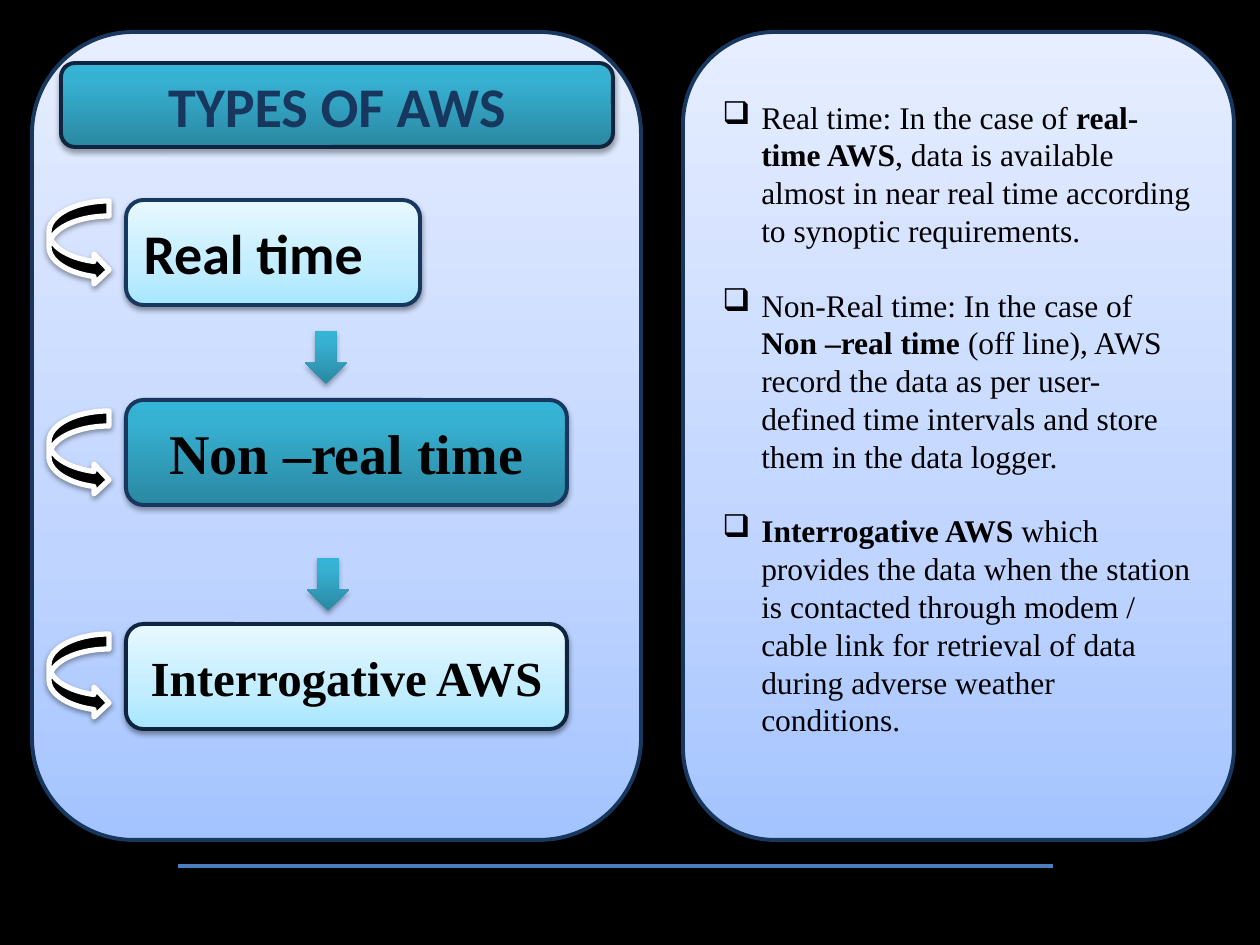
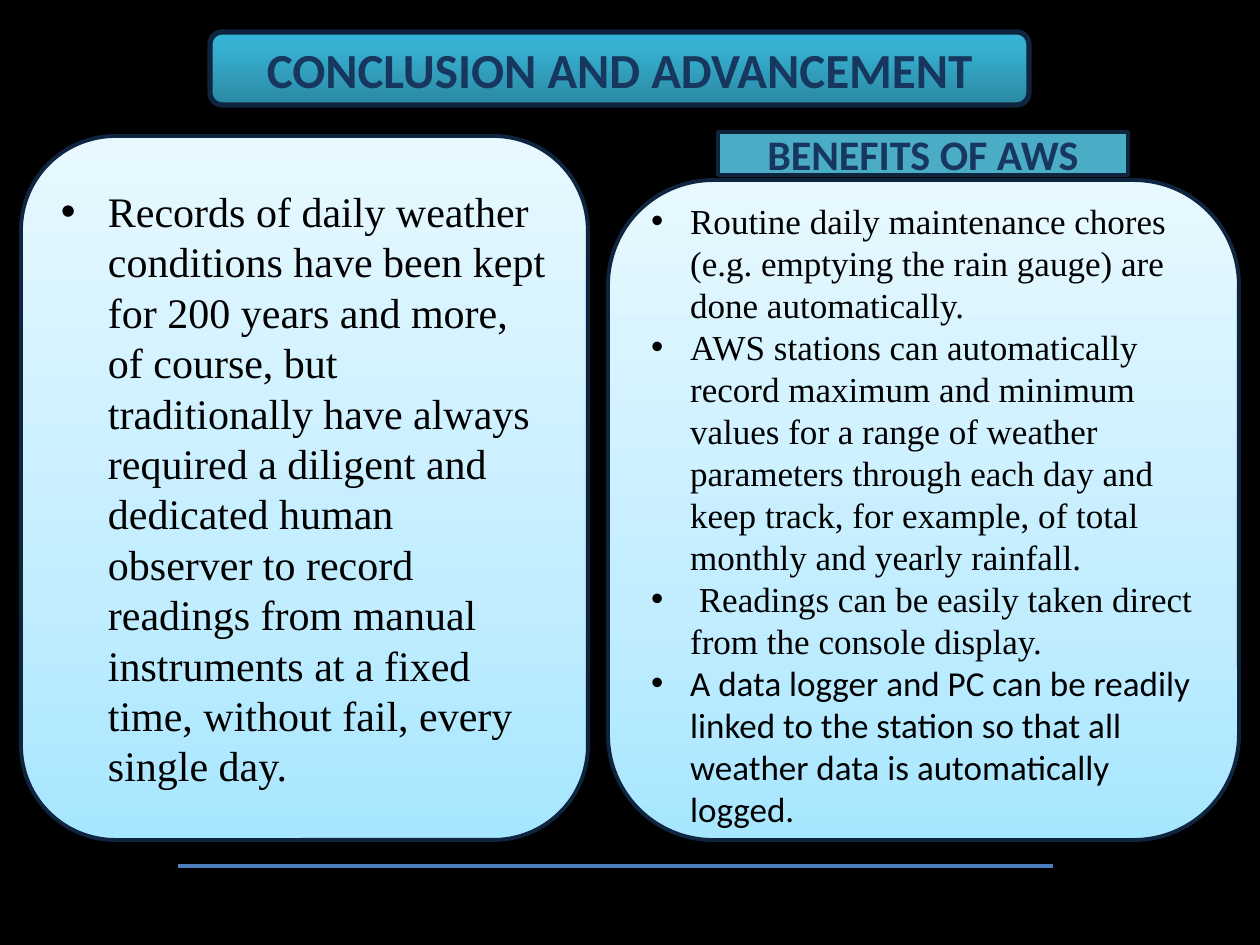
import pptx
import pptx.dml.color
import pptx.enum.shapes
import pptx.enum.text
import pptx.oxml
import pptx.oxml.ns
import pptx.util

RGBColor = pptx.dml.color.RGBColor
Pt = pptx.util.Pt
qn = pptx.oxml.ns.qn
SHAPES = pptx.enum.shapes.MSO_SHAPE
ALIGN = pptx.enum.text.PP_ALIGN

PX_PER_INCH = 126
BLACK = RGBColor(0x00, 0x00, 0x00)
WHITE = RGBColor(0xFF, 0xFF, 0xFF)
NAVY = RGBColor(0x17, 0x37, 0x5E)
DARK_NAVY = RGBColor(0x0F, 0x24, 0x3E)
TEAL = RGBColor(0x4B, 0xAC, 0xC6)
RULE_BLUE = RGBColor(0x4B, 0x7E, 0xBC)

# Gradient stops from the bottom of a shape to its top: (percent, colour)
PERIWINKLE = ((0, RGBColor(0xA4, 0xC4, 0xFF)), (35, RGBColor(0xBF, 0xD4, 0xFF)),
              (100, RGBColor(0xE6, 0xEE, 0xFF)))
SKY = ((0, RGBColor(0xA7, 0xE6, 0xFF)), (35, RGBColor(0xC1, 0xED, 0xFF)),
       (100, RGBColor(0xE7, 0xF8, 0xFF)))
DEEP_TEAL = ((0, RGBColor(0x2A, 0x88, 0xA2)), (80, RGBColor(0x37, 0xB1, 0xD2)),
             (100, RGBColor(0x34, 0xB4, 0xD6)))

SERIF = "Times New Roman"
SANS = "Calibri"
BOLD = {"bold": True}


def px(length):
    return pptx.util.Emu(round(length * 914400 / PX_PER_INCH))


def add_xml(parent, xml):
    namespace = pptx.oxml.ns.nsdecls("a")
    parent.append(pptx.oxml.parse_xml(xml.replace(">", f" {namespace}>", 1)))


def set_gradient(shape, stops):
    shape.fill.gradient()
    shape.fill.gradient_angle = 90
    stop_list = shape.element.spPr.find(".//" + qn("a:gsLst"))
    for stop in list(stop_list):
        stop_list.remove(stop)
    for percent, color in stops:
        add_xml(stop_list, f'<a:gs pos="{percent * 1000}"><a:srgbClr val="{color}"/></a:gs>')


def set_shadow(shape, opacity, distance):
    effects = shape.element.spPr.find(qn("a:effectLst"))
    add_xml(effects, f'<a:outerShdw blurRad="40000" dist="{distance}" dir="5400000" rotWithShape="0">'
                     f'<a:srgbClr val="000000"><a:alpha val="{opacity * 1000}"/></a:srgbClr></a:outerShdw>')


def add_shape(slide, kind, box, fill, line=None, line_width=2.25, shadow=True):
    """Add a shape; fill is one colour or a tuple of gradient stops."""
    shape = slide.shapes.add_shape(kind, *map(px, box))
    shape.shadow.inherit = False
    if isinstance(fill, RGBColor):
        shape.fill.solid()
        shape.fill.fore_color.rgb = fill
    else:
        set_gradient(shape, fill)
    if line is None:
        shape.line.fill.background()
    else:
        shape.line.color.rgb = line
        shape.line.width = Pt(line_width)
    if shadow:
        opacity, distance = (35, 23000) if fill is DEEP_TEAL else (38, 20000)
        set_shadow(shape, opacity, distance)
    return shape


def add_bullet(paragraph, character, indent):
    properties = paragraph._p.get_or_add_pPr()
    properties.set("marL", str(px(indent)))
    properties.set("indent", str(-px(indent)))
    if character == "•":
        add_xml(properties, '<a:buFont typeface="Arial"></a:buFont>')
    add_xml(properties, f'<a:buChar char="{character}"></a:buChar>')


def write_text(shape, paragraphs, size, font=SERIF, color=BLACK, bold=False, align=ALIGN.LEFT,
               bullet=None, indent=0, gap=0, top=6, bottom=6):
    """Write paragraphs, each a list of (text, format overrides) runs."""
    frame = shape.text_frame
    frame.word_wrap = True
    frame.auto_size = pptx.enum.text.MSO_AUTO_SIZE.NONE
    frame.vertical_anchor = pptx.enum.text.MSO_ANCHOR.MIDDLE
    frame.margin_top, frame.margin_bottom = px(top), px(bottom)
    for index, runs in enumerate(paragraphs):
        paragraph = frame.add_paragraph() if index else frame.paragraphs[0]
        paragraph.alignment = align
        if bullet:
            add_bullet(paragraph, bullet, indent)
        paragraph.space_before = Pt(gap if index else 0)
        for text, overrides in runs:
            run = paragraph.add_run()
            run.text = text
            run.font.size = Pt(size)
            run.font.name = overrides.get("font", font)
            run.font.bold = overrides.get("bold", bold)
            run.font.color.rgb = color


def add_title_band(slide, box, text, size, line_width):
    band = add_shape(slide, SHAPES.ROUNDED_RECTANGLE, box, DEEP_TEAL, DARK_NAVY, line_width)
    title = slide.shapes.title
    title.left, title.top, title.width, title.height = map(px, box)
    band.element.addnext(title.element)
    write_text(title, [[(text, {})]], size, SANS, NAVY, True, ALIGN.CENTER)


def add_panel(slide, box, fill, line):
    return add_shape(slide, SHAPES.ROUNDED_RECTANGLE, box, fill, line)


def add_type_step(slide, box, text, fill, line, loop_top, **text_format):
    """Add a step box with a curved arrow to its left."""
    left, top = box[:2]
    step = add_shape(slide, SHAPES.ROUNDED_RECTANGLE, box, fill, line)
    write_text(step, [[(text, {})]], bold=True, **text_format)
    add_shape(slide, SHAPES.CURVED_RIGHT_ARROW, (left - 77, top + loop_top, 60, 84), BLACK, WHITE, 3)


def add_types_panel(slide, box):
    left, top, width = box[:3]
    add_panel(slide, box, PERIWINKLE, NAVY)
    add_title_band(slide, (left + 29, top + 31, width - 57, 84), "TYPES OF AWS", 32, 2.25)
    step_left, step_height = left + 94, 105
    add_type_step(slide, (step_left, top + 168, 294, step_height), "Real time", SKY, NAVY, 1,
                  size=32, font=SANS)
    add_type_step(slide, (step_left, top + 368, 441, step_height), "Non –real time", DEEP_TEAL, NAVY, 11,
                  size=32, align=ALIGN.CENTER)
    add_type_step(slide, (step_left, top + 592, 441, step_height), "Interrogative AWS", SKY, DARK_NAVY, 10,
                  size=28, align=ALIGN.CENTER)
    for arrow_left, arrow_top in ((273, 299), (275, 526)):
        add_shape(slide, SHAPES.DOWN_ARROW, (left + arrow_left, top + arrow_top, 42, 53), DEEP_TEAL)


def add_descriptions_panel(slide, box):
    panel = add_panel(slide, box, PERIWINKLE, NAVY)
    write_text(panel, [
        [("Real time: In the case of ", {}), ("real-time AWS", BOLD),
         (", data is available almost in near real time according to synoptic requirements.", {})],
        [("Non-Real time: In the case of ", {}), ("Non –real time ", BOLD),
         ("(off line), AWS record the data as per user-defined time intervals and store them "
          "in the data logger.", {})],
        [("Interrogative AWS ", BOLD),
         ("which provides the data when the station is contacted through modem / cable link "
          "for retrieval of data during adverse weather conditions.", {})],
    ], 18, bullet="❑", indent=39, gap=21, bottom=42)


def add_records_panel(slide, box):
    panel = add_panel(slide, box, SKY, DARK_NAVY)
    write_text(panel, [[(
        "Records of daily weather conditions have been kept for 200 years and more, of course, but "
        "traditionally have always required a diligent and dedicated human observer to record readings "
        "from manual instruments at a fixed time, without fail, every single day.", {})]],
        24, bullet="•", indent=47)


def add_benefits_panel(slide, box):
    left, top = box[:2]
    panel = add_panel(slide, box, SKY, DARK_NAVY)
    write_text(panel, [
        [("Routine daily maintenance chores (e.g. emptying the rain gauge) are done automatically.", {})],
        [("AWS stations can automatically record maximum and minimum values for a range of weather "
          "parameters through each day and keep track, for example, of total monthly and yearly "
          "rainfall.", {})],
        [(" Readings can be easily taken direct from the console display.", {})],
        [("A data logger and PC can be readily linked to the station so that all weather data is "
          "automatically logged.", {"font": SANS})],
    ], 20, bullet="•", indent=39, top=9, bottom=0)
    heading = add_shape(slide, SHAPES.RECTANGLE, (left + 110, top - 48, 410, 43), TEAL, DARK_NAVY, 2,
                        shadow=False)
    write_text(heading, [[("BENEFITS OF AWS", {})]], 24, SANS, NAVY, True, ALIGN.CENTER)


def prepare_layout(presentation, layout, slide):
    """Give every slide the black background and the rule at the bottom."""
    background = presentation.slide_master.background.fill
    background.solid()
    background.fore_color.rgb = BLACK
    rule = slide.shapes.add_connector(pptx.enum.shapes.MSO_CONNECTOR.STRAIGHT,
                                      px(178), px(866), px(1053), px(866))
    rule.line.color.rgb = RULE_BLUE
    rule.line.width = Pt(2)
    add_xml(rule.element.spPr, "<a:effectLst></a:effectLst>")
    layout.placeholders[0].element.addprevious(rule.element)


def main():
    presentation = pptx.Presentation()
    presentation.slide_width, presentation.slide_height = px(1260), px(945)
    layout = presentation.slide_layouts[5]

    types_slide = presentation.slides.add_slide(layout)
    prepare_layout(presentation, layout, types_slide)
    add_types_panel(types_slide, (32, 32, 609, 808))
    add_descriptions_panel(types_slide, (683, 32, 551, 808))

    conclusion_slide = presentation.slides.add_slide(layout)
    add_title_band(conclusion_slide, (210, 32, 819, 73), "CONCLUSION AND ADVANCEMENT", 28, 3)
    add_records_panel(conclusion_slide, (21, 136, 567, 704))
    add_benefits_panel(conclusion_slide, (608, 180, 631, 660))

    presentation.save("out.pptx")


if __name__ == "__main__":
    main()
